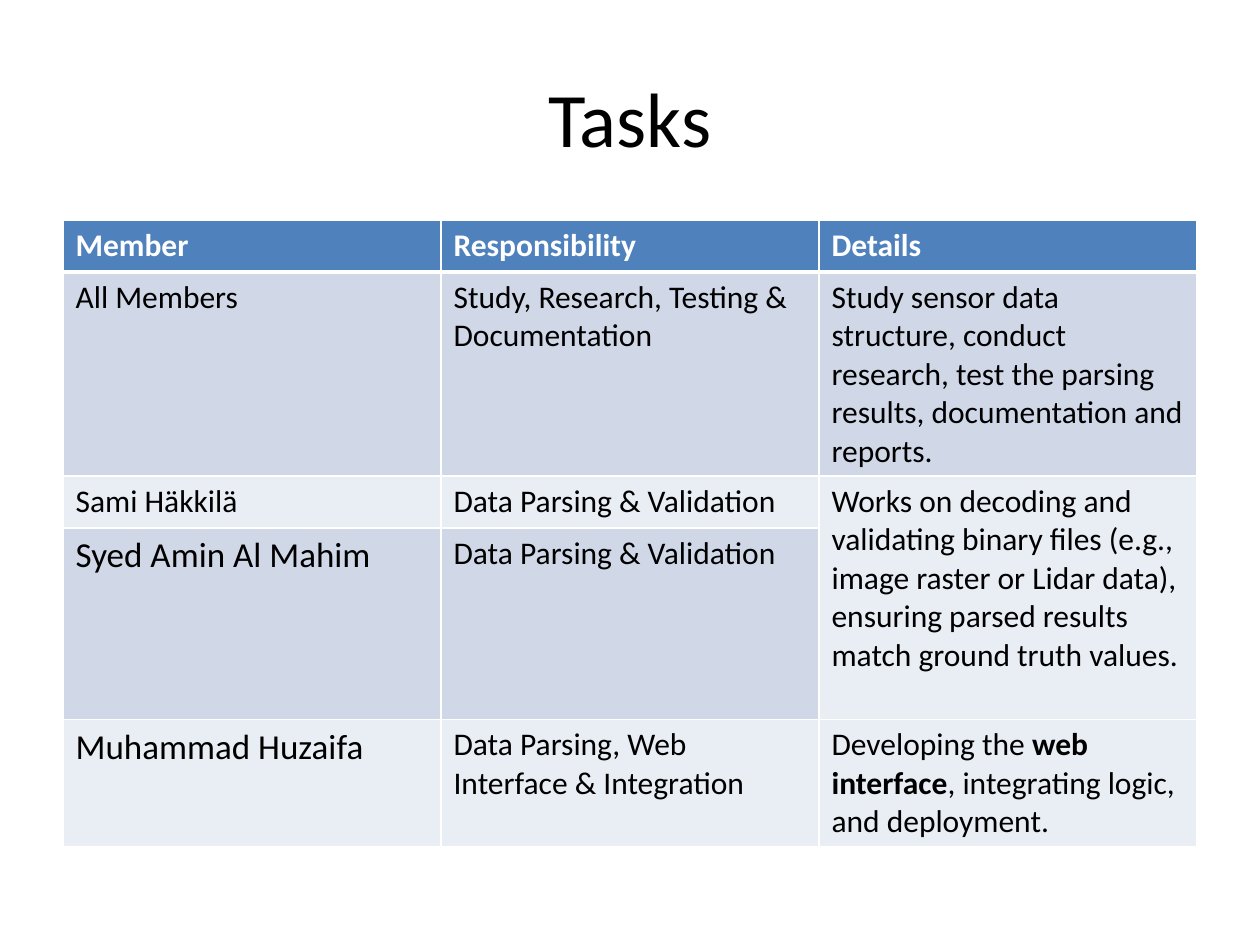
from dataclasses import dataclass

from lxml import etree
from pptx import Presentation
from pptx import util as u
from pptx.dml import color
from pptx.enum import text
from pptx.oxml import ns


@dataclass(frozen=True)
class Theme:
    font: str = "Calibri"
    ink: str = "000000"
    paper: str = "FFFFFF"
    header: str = "4F81BD"
    bands: tuple = ("D0D8E8", "E9EDF4")
    title_size: int = 44
    body_size: int = 18
    name_size: int = 20
    rule: int = 1
    header_rule: int = 3


@dataclass(frozen=True)
class Run:
    text: str
    bold: bool = False
    size: int = 0


class Deck:
    def __init__(self, theme, width, height):
        self.theme = theme
        self.prs = Presentation()
        self.prs.slide_width = u.Inches(width)
        self.prs.slide_height = u.Inches(height)
        self.s = self.prs.slides.add_slide(self.prs.slide_layouts[6])

    def box(self, left, top, width, height):
        w, h = self.prs.slide_width, self.prs.slide_height
        return int(left * w), int(top * h), int(width * w), int(height * h)

    def add_runs(self, p, runs, size, ink):
        for run in runs:
            r = p.add_run()
            r.text = run.text
            r.font.name = self.theme.font
            r.font.size = u.Pt(run.size or size)
            r.font.bold = run.bold
            r.font.color.rgb = color.RGBColor.from_string(ink)

    def title(self, words, area):
        tf = self.s.shapes.add_textbox(*self.box(*area)).text_frame
        tf.word_wrap = True
        tf.vertical_anchor = text.MSO_ANCHOR.MIDDLE
        p = tf.paragraphs[0]
        p.alignment = text.PP_ALIGN.CENTER
        self.add_runs(p, [Run(words)], self.theme.title_size, self.theme.ink)

    def borders(self, cell, top, bottom):
        tc_pr = cell._tc.get_or_add_tcPr()
        rule = self.theme.rule
        for side, width in zip("LRTB", (rule, rule, top, bottom)):
            ln = etree.SubElement(tc_pr, ns.qn(f"a:ln{side}"), w=str(u.Pt(width)))
            fill = etree.SubElement(ln, ns.qn("a:solidFill"))
            etree.SubElement(fill, ns.qn("a:srgbClr"), val=self.theme.paper)

    def table(self, rows, area, heights, merges):
        th = self.theme
        left, top, width, _ = self.box(*area)
        row_heights = [u.Inches(h) for h in heights]
        tbl = self.s.shapes.add_table(
            len(rows), len(rows[0]), left, top, width, sum(row_heights)
        ).table
        for i, (row, height) in enumerate(zip(rows, row_heights)):
            tbl.rows[i].height = height
            is_header = i == 0
            fill = th.header if is_header else th.bands[(i - 1) % 2]
            ink = th.paper if is_header else th.ink
            above = th.header_rule if i == 1 else th.rule
            below = th.header_rule if is_header else th.rule
            for j, runs in enumerate(row):
                cell = tbl.cell(i, j)
                self.borders(cell, above, below)
                cell.fill.solid()
                cell.fill.fore_color.rgb = color.RGBColor.from_string(fill)
                self.add_runs(cell.text_frame.paragraphs[0], runs, th.body_size, ink)
        for first, last in merges:
            tbl.cell(*first).merge(tbl.cell(*last))


def main():
    theme = Theme()
    deck = Deck(theme, 10, 7.5)
    deck.title("Tasks", (0.05, 0.04, 0.9, 1 / 6))

    parsing = [Run("Data Parsing & Validation")]
    rows = [
        [[Run(label, bold=True)] for label in ("Member", "Responsibility", "Details")],
        [
            [Run("All Members")],
            [Run("Study, Research, Testing & Documentation")],
            [Run("Study sensor data structure, conduct research, test the parsing "
                 "results, documentation and reports.")],
        ],
        [
            [Run("Sami Häkkilä")],
            parsing,
            [Run("Works on decoding and validating binary files (e.g., image raster "
                 "or Lidar data), ensuring parsed results match ground truth values.")],
        ],
        [[Run("Syed Amin Al Mahim", size=theme.name_size)], parsing, []],
        [
            [Run("Muhammad Huzaifa", size=theme.name_size)],
            [Run("Data Parsing, Web Interface & Integration")],
            [
                Run("Developing the "),
                Run("web interface", bold=True),
                Run(", integrating logic, and deployment."),
            ],
        ],
    ]
    deck.table(
        rows,
        area=(0.05, 1.75 / 7.5, 0.9, 0.66),
        heights=(0.41, 1.62, 0.41, 1.52, 1.01),
        merges=[((2, 2), (3, 2))],
    )
    deck.prs.save("out.pptx")


if __name__ == "__main__":
    main()
